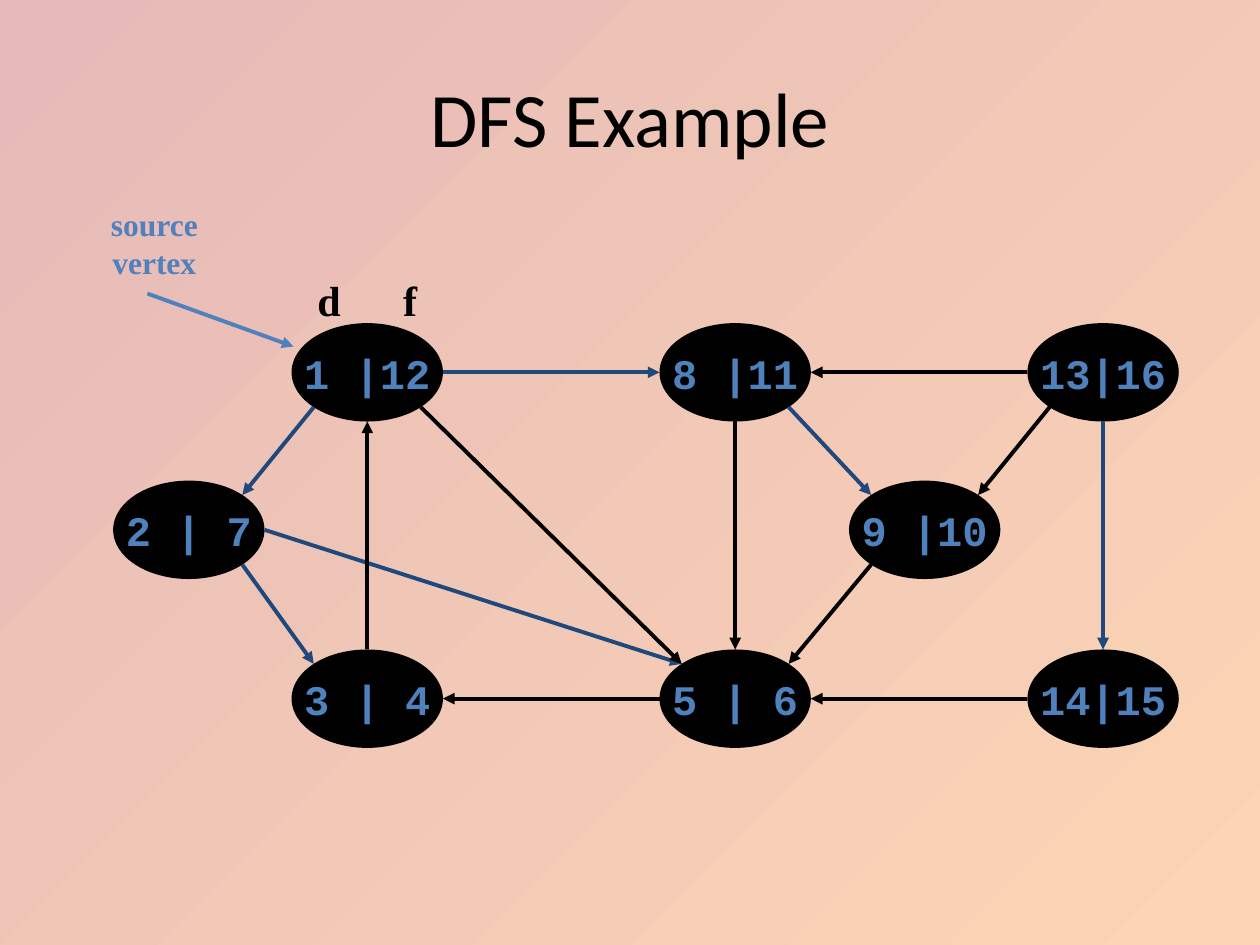
from math import sqrt

from lxml import etree
from pptx import Presentation
from pptx.dml.color import RGBColor
from pptx.enum.shapes import MSO_CONNECTOR as CONN, MSO_SHAPE as SHAPE
from pptx.enum.text import MSO_ANCHOR as ANCHOR, PP_ALIGN as ALIGN
from pptx.oxml.ns import qn
from pptx.util import Inches, Pt

BLACK, BLUE, NAVY = "000000", "4F81BD", "1F497D"
NODE_W, NODE_H = 1.17, 0.75
COL_STEP = 2.92
ROWS = (0, 1.25, 2.59)

# Vertices: discovery and finish times, column (in steps), row
NODES = {
    "a": ("1 |12", 0, 0),
    "b": ("8 |11", 1, 0),
    "c": ("13|16", 2, 0),
    "d": ("14|15", 2, 2),
    "e": ("5 | 6", 1, 2),
    "f": ("3 | 4", 0, 2),
    "g": ("2 | 7", -0.485, 1),
    "h": ("9 |10", 1.515, 1),
}

# Edges: vertex and side at each end; tree edges are navy
EDGES = [
    ("a", "SW", "g", "NE", NAVY),
    ("g", "SE", "f", "NW", NAVY),
    ("g", "E", "e", "NW", NAVY),
    ("e", "W", "f", "E", BLACK),
    ("f", "N", "a", "S", BLACK),
    ("a", "SE", "e", "NW", BLACK),
    ("b", "S", "e", "N", BLACK),
    ("a", "E", "b", "W", NAVY),
    ("c", "W", "b", "E", BLACK),
    ("b", "SE", "h", "NW", NAVY),
    ("c", "SW", "h", "NE", BLACK),
    ("c", "S", "d", "N", NAVY),
    ("d", "W", "e", "E", BLACK),
    ("h", "SW", "e", "NE", BLACK),
]


def color(value):
    return RGBColor.from_string(value)


def style_text(sp, text, font, size, rgb, bold=True, align=ALIGN.CENTER,
               anchor=ANCHOR.MIDDLE, wrap=False, tab=None):
    tf = sp.text_frame
    tf.word_wrap = wrap
    tf.vertical_anchor = anchor
    p = tf.paragraphs[0]
    p.text = text
    p.alignment = align
    if tab:
        tabs = etree.SubElement(p._p.get_or_add_pPr(), qn("a:tabLst"))
        etree.SubElement(tabs, qn("a:tab"), pos=str(Inches(tab)), algn="l")
    p.font.name, p.font.size, p.font.bold = font, Pt(size), bold
    p.font.color.rgb = color(rgb)


def add_label(slide, box, text, font, size, rgb, **options):
    sp = slide.shapes.add_textbox(*map(Inches, box))
    style_text(sp, text, font, size, rgb, **options)
    return sp


def add_arrow(slide, start, end, rgb):
    line = slide.shapes.add_connector(CONN.STRAIGHT, *map(Inches, start + end))
    line.line.color.rgb = color(rgb)
    line.line.width = Pt(2.25)
    etree.SubElement(line.line._get_or_add_ln(), qn("a:tailEnd"), type="triangle")
    etree.SubElement(line._element.spPr, qn("a:effectLst"))


def add_node(slide, left, top, text):
    sp = slide.shapes.add_shape(SHAPE.OVAL, *map(Inches, (left, top, NODE_W, NODE_H)))
    sp.shadow.inherit = False
    sp.fill.solid()
    sp.fill.fore_color.rgb = color(BLACK)
    sp.line.color.rgb = color(BLACK)
    sp.line.width = Pt(2.25)
    style_text(sp, text, "Courier New", 24, BLUE)


def rim_point(corner, side):
    """Point on the outer edge of a vertex in a compass direction."""
    dx = ("E" in side) - ("W" in side)
    dy = ("S" in side) - ("N" in side)
    scale = 1 / sqrt(dx * dx + dy * dy)
    rim = 0.015  # half of the outline width
    return (corner[0] + NODE_W / 2 + dx * scale * (NODE_W / 2 + rim),
            corner[1] + NODE_H / 2 + dy * scale * (NODE_H / 2 + rim))


def add_graph(slide, left, top):
    corners = {}
    for name, (text, col, row) in NODES.items():
        corners[name] = (left + col * COL_STEP, top + ROWS[row])
        add_node(slide, *corners[name], text)
    for tail, tail_side, head, head_side, rgb in EDGES:
        add_arrow(slide, rim_point(corners[tail], tail_side),
                  rim_point(corners[head], head_side), rgb)


def add_annotations(slide, left, top):
    # Pointer to the source vertex
    add_arrow(slide, (left - 1.16, top - 0.25), (left, top + 0.17), BLUE)
    add_label(slide, (left - 1.55, top - 1, 0.89, 0.7), "source\nvertex",
              "Times New Roman", 18, BLUE, anchor=ANCHOR.TOP)
    # Discovery and finish headings
    sp = add_label(slide, (left, top - 0.58, NODE_W, NODE_H), "d\tf",
                   "Times New Roman", 24, BLACK, align=ALIGN.LEFT,
                   wrap=True, tab=0.68)
    sp.text_frame.margin_left = Inches(0.19)
    sp.text_frame.margin_right = 0


def add_background(slide):
    fill = slide.background.fill
    fill.gradient()
    fill.gradient_angle = 315
    for stop, (position, rgb) in zip(fill.gradient_stops,
                                     ((0, "E6B9B8"), (1, "FCD5B5"))):
        stop.position = position
        stop.color.rgb = color(rgb)


def main():
    prs = Presentation()
    prs.slide_width, prs.slide_height = Inches(10), Inches(7.5)
    slide = prs.slides.add_slide(prs.slide_layouts[6])
    add_background(slide)
    add_label(slide, (0.5, 0.3, 9, 1.25), "DFS Example", "Calibri", 44, BLACK,
              bold=False, wrap=True)
    add_graph(slide, 2.33, 2.58)
    add_annotations(slide, 2.33, 2.58)
    prs.save("out.pptx")


if __name__ == "__main__":
    main()
